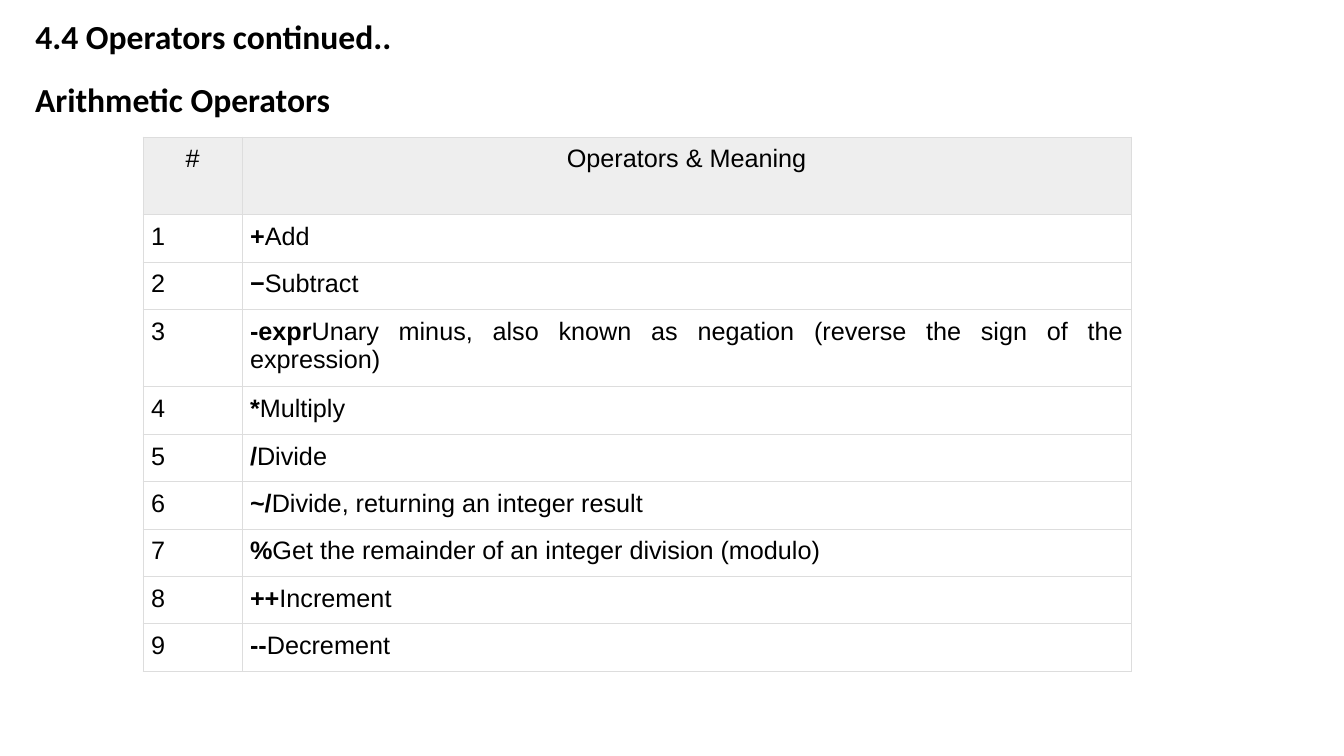
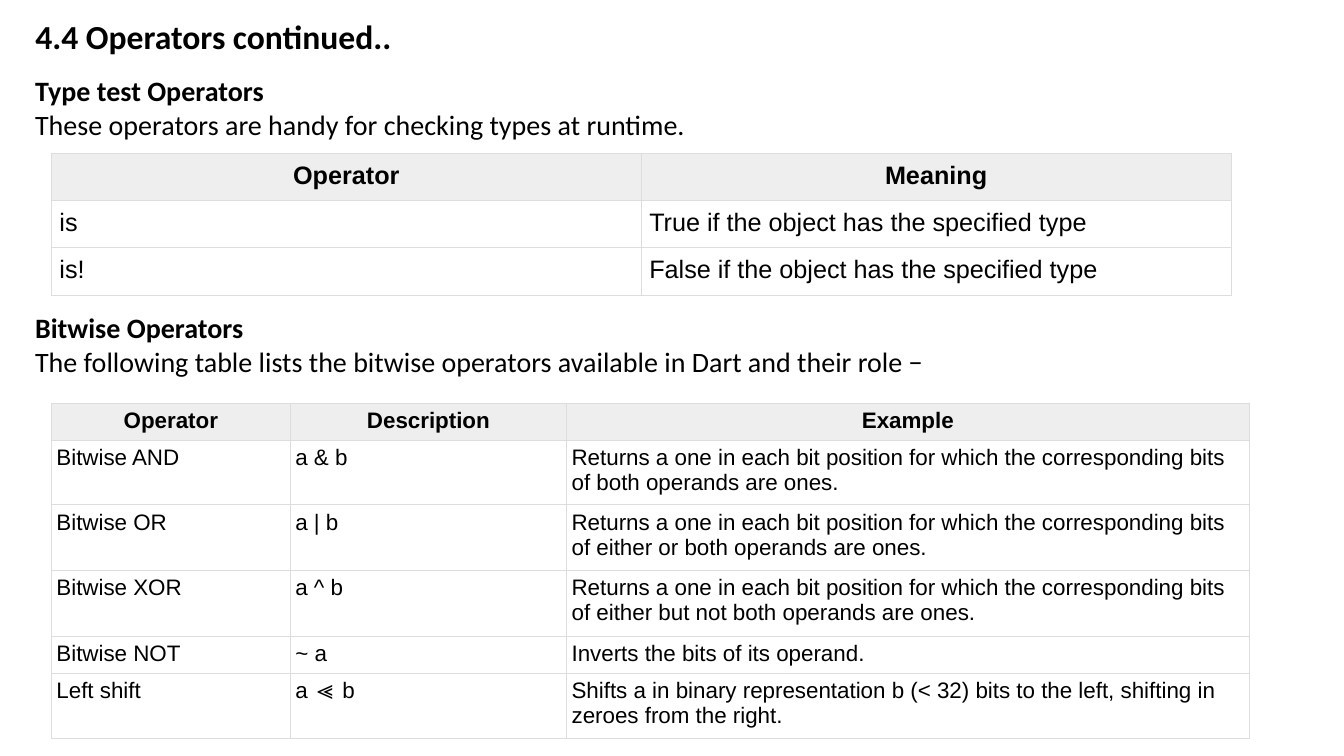
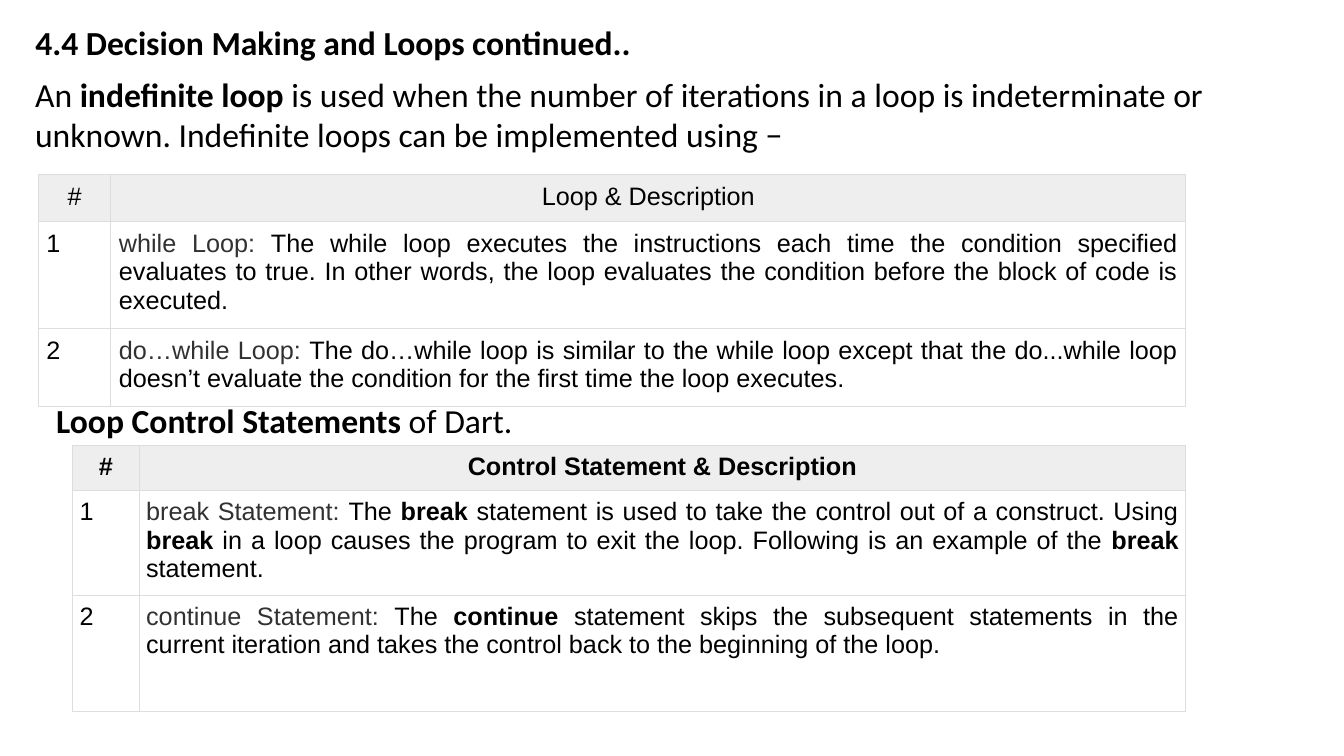
"""Build three slides on operators and loops in Dart."""
import pptx
import pptx.dml.color
import pptx.enum.text
import pptx.oxml
import pptx.oxml.ns
import pptx.util

Inches = pptx.util.Inches
ALIGN = pptx.enum.text.PP_ALIGN
COLOURS = {"text": "000000", "term": "313131", "header": "EEEEEE", "border": "DDDDDD"}
BOX_FORMAT = {
    "margin_left": Inches(0.1),
    "margin_right": Inches(0.1),
    "margin_top": Inches(0.05),
    "margin_bottom": Inches(0.05),
    "word_wrap": True,
    "auto_size": pptx.enum.text.MSO_AUTO_SIZE.NONE,
    "vertical_anchor": pptx.enum.text.MSO_ANCHOR.TOP,
}
BORDER = (
    '<a:{side} {namespace} w="9525"><a:solidFill><a:srgbClr val="{colour}"/></a:solidFill>'
    '<a:prstDash val="solid"/></a:{side}>'
)


def write_runs(paragraph, content, alignment, font_format):
    """Write a string, or a list of (text, style) runs, into a paragraph."""
    paragraph.alignment = alignment
    runs = [(content, "plain")] if isinstance(content, str) else content
    for text, style in runs:
        run = paragraph.add_run()
        run.text = text
        run_format = {**font_format, "bold": style == "bold"}
        for name, value in run_format.items():
            setattr(run.font, name, value)
        colour = COLOURS["term" if style == "term" else "text"]
        run.font.color.rgb = pptx.dml.color.RGBColor.from_string(colour)


def format_box(shape, place, paragraphs, size):
    """Place a text shape and fill it with left-aligned Calibri paragraphs."""
    shape.left, shape.top, shape.width, shape.height = map(Inches, place)
    for name, value in BOX_FORMAT.items():
        setattr(shape.text_frame, name, value)
    font_format = {"name": "Calibri", "size": pptx.util.Pt(size)}
    for index, content in enumerate(paragraphs):
        frame = shape.text_frame
        paragraph = frame.add_paragraph() if index else frame.paragraphs[0]
        write_runs(paragraph, content, ALIGN.LEFT, font_format)


arithmetic_operators = [
    ("+", "Add"),
    ("−", "Subtract"),
    ("-expr", "Unary minus, also known as negation (reverse the sign of the expression)"),
    ("*", "Multiply"),
    ("/", "Divide"),
    ("~/", "Divide, returning an integer result"),
    ("%", "Get the remainder of an integer division (modulo)"),
    ("++", "Increment"),
    ("--", "Decrement"),
]
bitwise_result = "Returns a one in each bit position for which the corresponding bits of "

slides = [
    {
        "title": "4.4 Operators continued..",
        "title_top": 0.11,
        "boxes": [
            {"place": (0.25, 0.73, 11.83, 0.5), "size": 24,
             "paragraphs": [[("Arithmetic Operators", "bold")]]},
        ],
        "tables": [
            {
                "left": 1.42, "top": 1.36, "margin": 0.08, "size": 18,
                "header_style": "plain", "last_column": ALIGN.JUSTIFY,
                "columns": [0.98, 8.82],
                "heights": [0.77, 0.47, 0.47, 0.77] + [0.47] * 6,
                "rows": [["#", "Operators & Meaning"]] + [
                    [str(number), [(symbol, "bold"), (meaning, "plain")]]
                    for number, (symbol, meaning) in enumerate(arithmetic_operators, 1)
                ],
            },
        ],
    },
    {
        "title": "4.4 Operators continued..",
        "title_top": 0.11,
        "boxes": [
            {"place": (0.25, 0.68, 11.83, 0.77), "size": 20,
             "paragraphs": [[("Type test Operators", "bold")],
                            "These operators are handy for checking types at runtime."]},
            {"place": (0.25, 3.03, 12.14, 1.11), "size": 20,
             "paragraphs": [[("Bitwise Operators", "bold")],
                            "The following table lists the bitwise operators available in Dart "
                            "and their role −"]},
        ],
        "tables": [
            {
                "left": 0.51, "top": 1.52, "margin": 0.08, "size": 18,
                "header_style": "bold", "last_column": ALIGN.LEFT,
                "columns": [5.85, 5.85],
                "heights": [0.47] * 3,
                "rows": [
                    ["Operator", "Meaning"],
                    ["is", "True if the object has the specified type"],
                    ["is!", "False if the object has the specified type"],
                ],
            },
            {
                "left": 0.51, "top": 4, "margin": 0.05, "size": 16,
                "header_style": "bold", "last_column": ALIGN.LEFT,
                "columns": [2.37, 2.74, 6.77],
                "heights": [0.37, 0.64, 0.65, 0.65, 0.37, 0.65],
                "rows": [
                    ["Operator", "Description", "Example"],
                    ["Bitwise AND", "a & b", bitwise_result + "both operands are ones."],
                    ["Bitwise OR", "a | b", bitwise_result + "either or both operands are ones."],
                    ["Bitwise XOR", "a ^ b",
                     bitwise_result + "either but not both operands are ones."],
                    ["Bitwise NOT", "~ a", "Inverts the bits of its operand."],
                    ["Left shift", "a ≪ b",
                     "Shifts a in binary representation b (< 32) bits to the left, "
                     "shifting in zeroes from the right."],
                ],
            },
        ],
    },
    {
        "title": "4.4 Decision Making and Loops continued..",
        "title_top": 0.17,
        "boxes": [
            {"place": (0.25, 0.68, 12.97, 0.91), "size": 24,
             "paragraphs": [[
                 ("An ", "plain"), ("indefinite loop ", "bold"),
                 ("is used when the number of iterations in a loop is indeterminate or unknown. "
                  "Indefinite loops can be implemented using −", "plain")]]},
            {"place": (0.46, 3.92, 4.96, 0.5), "size": 24,
             "paragraphs": [[("Loop Control Statements", "bold"), (" of Dart.", "plain")]]},
        ],
        "tables": [
            {
                "left": 0.38, "top": 1.73, "margin": 0.08, "size": 18,
                "header_style": "plain", "last_column": ALIGN.JUSTIFY,
                "columns": [0.72, 10.66],
                "heights": [0.47, 1.06, 0.77],
                "rows": [
                    ["#", "Loop & Description"],
                    ["1", [
                        ("while Loop: ", "term"),
                        ("The while loop executes the instructions each time the condition "
                         "specified evaluates to true. In other words, the loop evaluates the "
                         "condition before the block of code is executed.", "plain")]],
                    ["2", [
                        ("do…while Loop: ", "term"),
                        ("The do…while loop is similar to the while loop except that the "
                         "do...while loop doesn’t evaluate the condition for the first time "
                         "the loop executes.", "plain")]],
                ],
            },
            {
                "left": 0.72, "top": 4.42, "margin": 0.07, "size": 18,
                "header_style": "bold", "last_column": ALIGN.JUSTIFY,
                "columns": [0.66, 10.38],
                "heights": [0.45, 1.04, 1.15],
                "rows": [
                    ["#", "Control Statement & Description"],
                    ["1", [
                        ("break Statement: ", "term"), ("The ", "plain"), ("break", "bold"),
                        (" statement is used to take the control out of a construct. Using ",
                         "plain"),
                        ("break", "bold"),
                        (" in a loop causes the program to exit the loop. Following is an "
                         "example of the ", "plain"),
                        ("break", "bold"), (" statement.", "plain")]],
                    ["2", [
                        ("continue Statement: ", "term"), ("The ", "plain"),
                        ("continue", "bold"),
                        (" statement skips the subsequent statements in the current iteration "
                         "and takes the control back to the beginning of the loop.", "plain")]],
                ],
            },
        ],
    },
]

presentation = pptx.Presentation()
presentation.slide_width = Inches(13.33)
presentation.slide_height = Inches(7.5)

for content in slides:
    slide = presentation.slides.add_slide(presentation.slide_layouts[5])
    title_place = (0.25, content["title_top"], 9.72, 0.5)
    format_box(slide.shapes.title, title_place, [[(content["title"], "bold")]], 24)

    for box in content["boxes"]:
        shape = slide.shapes.add_textbox(*map(Inches, box["place"]))
        format_box(shape, box["place"], box["paragraphs"], box["size"])

    for layout in content["tables"]:
        widths, heights = layout["columns"], layout["heights"]
        place = (layout["left"], layout["top"], sum(widths), sum(heights))
        table = slide.shapes.add_table(len(heights), len(widths), *map(Inches, place)).table
        table.first_row = table.horz_banding = False
        for column, width in zip(table.columns, widths):
            column.width = Inches(width)
        for row, height in zip(table.rows, heights):
            row.height = Inches(height)

        font_format = {"name": "Arial", "size": pptx.util.Pt(layout["size"])}
        for row_index, row_content in enumerate(layout["rows"]):
            for column_index, cell_content in enumerate(row_content):
                cell = table.cell(row_index, column_index)
                for side in ("left", "right", "top", "bottom"):
                    setattr(cell, "margin_" + side, Inches(layout["margin"]))
                cell_properties = cell._tc.get_or_add_tcPr()
                for side in ("lnL", "lnR", "lnT", "lnB"):
                    cell_properties.append(pptx.oxml.parse_xml(BORDER.format(
                        side=side,
                        namespace=pptx.oxml.ns.nsdecls("a"),
                        colour=COLOURS["border"],
                    )))
                alignment = ALIGN.LEFT
                if row_index == 0:
                    cell.fill.solid()
                    cell.fill.fore_color.rgb = pptx.dml.color.RGBColor.from_string(
                        COLOURS["header"])
                    cell_content = [(cell_content, layout["header_style"])]
                    alignment = ALIGN.CENTER
                else:
                    cell.fill.background()
                    if column_index == len(widths) - 1:
                        alignment = layout["last_column"]
                write_runs(cell.text_frame.paragraphs[0], cell_content, alignment, font_format)

presentation.save("out.pptx")
